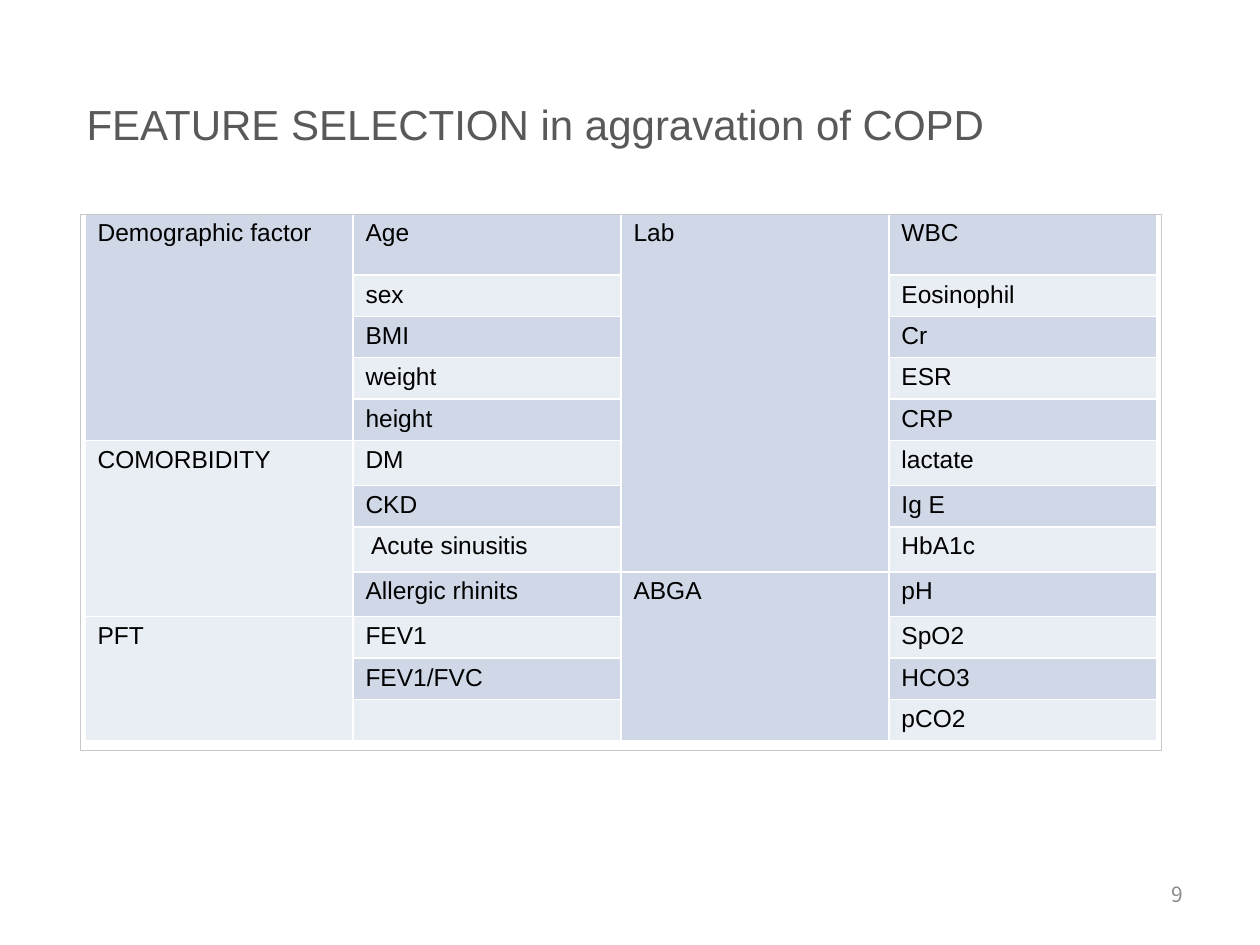
from lxml import etree
from pptx import Presentation
from pptx.dml.color import RGBColor
from pptx.enum.shapes import MSO_SHAPE
from pptx.enum.text import MSO_ANCHOR, PP_ALIGN
from pptx.oxml.ns import qn
from pptx.util import Emu, Pt

RECTANGLE = MSO_SHAPE.RECTANGLE
MIDDLE = MSO_ANCHOR.MIDDLE
LEFT, RIGHT = PP_ALIGN.LEFT, PP_ALIGN.RIGHT
TITLE_ONLY = 5
PX_PER_INCH = 126

COLORS = {
    "title": "595959",
    "number": "8C8C8C",
    "text": "000000",
    "band_dark": "D0D8E8",
    "band_light": "E9EDF4",
    "border": "FFFFFF",
    "frame": "C6C8CA",
}
TITLE_FONT = {"name": "Arial", "size": Pt(24), "bold": False}
CELL_FONT = {"name": "Arial", "size": Pt(14), "bold": False}
NUMBER_FONT = {"name": "Noto Sans CJK KR", "size": Pt(12)}

COLUMN_WIDTH = 268
ROW_HEIGHTS = [48, 62, 40, 41, 40, 40, 45, 40, 45, 45, 40, 40, 40]
# Each column lists (text, rows spanned), below an empty header row
GROUPS_LEFT = [("Demographic factor", 5), ("COMORBIDITY", 4), ("PFT", 3)]
GROUPS_RIGHT = [("Lab", 8), ("ABGA", 4)]
FACTORS_LEFT = ["Age", "sex", "BMI", "weight", "height", "DM", "CKD",
                " Acute sinusitis", "Allergic rhinits", "FEV1", "FEV1/FVC", ""]
FACTORS_RIGHT = ["WBC", "Eosinophil", "Cr", "ESR", "CRP", "lactate", "Ig E",
                 "HbA1c", "pH", "SpO2", "HCO3", "pCO2"]
COLUMNS = [
    GROUPS_LEFT,
    [(text, 1) for text in FACTORS_LEFT],
    GROUPS_RIGHT,
    [(text, 1) for text in FACTORS_RIGHT],
]


def px(length):
    return Emu(round(length * 914400 / PX_PER_INCH))


def rgb(name):
    return RGBColor.from_string(COLORS[name])


def write(para, text, font, color, align=LEFT):
    para.text = text
    para.alignment = align
    for key, value in font.items():
        setattr(para.font, key, value)
    para.font.color.rgb = rgb(color)


def add_title(page, text):
    title = page.shapes.title
    title.left, title.top, title.width, title.height = map(px, (74, 45, 1134, 158))
    title.text_frame.vertical_anchor = MIDDLE
    write(title.text_frame.paragraphs[0], text, TITLE_FONT, "title")


def add_page_number(page, text):
    box = page.shapes.add_textbox(*map(px, (902, 869, 294, 50)))
    box.text_frame.word_wrap = True
    box.text_frame.vertical_anchor = MIDDLE
    write(box.text_frame.paragraphs[0], text, NUMBER_FONT, "number", RIGHT)


def add_borders(cell, bottom):
    properties = cell._tc.get_or_add_tcPr()
    for side, width in (("L", 1), ("R", 1), ("T", 1), ("B", bottom)):
        line = etree.SubElement(properties, qn(f"a:ln{side}"), w=str(Pt(width)))
        fill = etree.SubElement(line, qn("a:solidFill"))
        etree.SubElement(fill, qn("a:srgbClr"), val=COLORS["border"])


def format_cell(cell, row):
    cell.margin_top = cell.margin_bottom = px(6)
    add_borders(cell, 1 if row else 3)
    if row:
        cell.fill.solid()
        cell.fill.fore_color.rgb = rgb("band_dark" if row % 2 else "band_light")
    else:
        cell.fill.background()
    write(cell.text_frame.paragraphs[0], "", CELL_FONT, "text")


def add_feature_table(page):
    table = page.shapes.add_table(
        len(ROW_HEIGHTS), len(COLUMNS), px(85), px(165),
        px(COLUMN_WIDTH * len(COLUMNS)), px(sum(ROW_HEIGHTS))).table
    table.first_row = table.horz_banding = False
    for column in table.columns:
        column.width = px(COLUMN_WIDTH)
    for row, height in enumerate(ROW_HEIGHTS):
        table.rows[row].height = px(height)
        for column in range(len(COLUMNS)):
            format_cell(table.cell(row, column), row)

    # Fill each column downwards, merging the group cells
    for column, entries in enumerate(COLUMNS):
        row = 1
        for text, span in entries:
            cell = table.cell(row, column)
            if span > 1:
                cell.merge(table.cell(row + span - 1, column))
            write(cell.text_frame.paragraphs[0], text, CELL_FONT, "text")
            row += span


def add_frame(page):
    frame = page.shapes.add_shape(RECTANGLE, *map(px, (80, 214, 1081, 536)))
    frame.shadow.inherit = False
    frame.fill.background()
    frame.line.color.rgb = rgb("frame")
    frame.line.width = Pt(0.25)


def main():
    deck = Presentation()
    deck.slide_width, deck.slide_height = px(1260), px(945)
    page = deck.slides.add_slide(deck.slide_layouts[TITLE_ONLY])
    add_title(page, "FEATURE SELECTION in aggravation of COPD")
    add_page_number(page, "9")
    add_feature_table(page)
    add_frame(page)
    deck.save("out.pptx")


if __name__ == "__main__":
    main()
